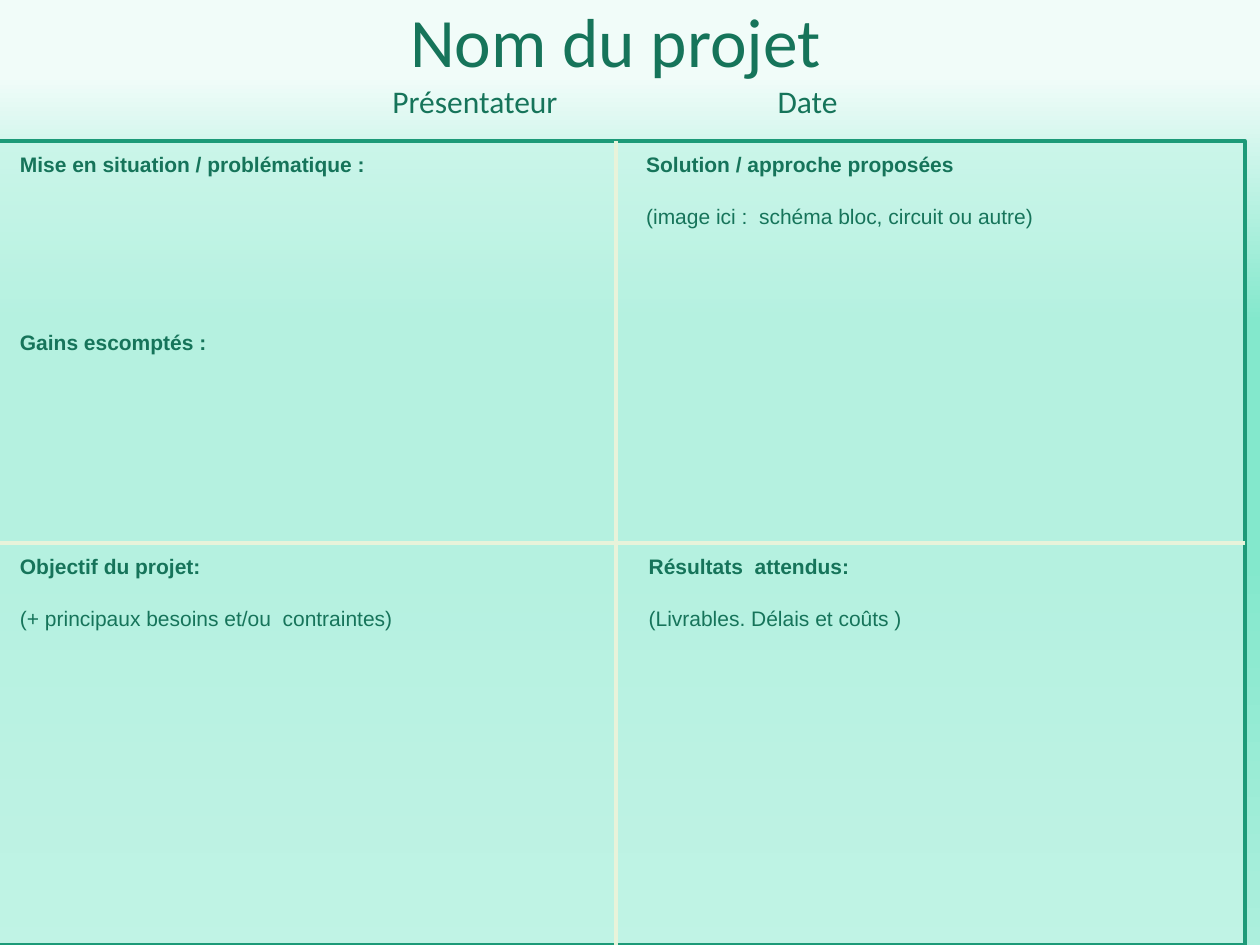
from lxml.etree import SubElement
from pptx import Presentation
from pptx.dml.color import RGBColor
from pptx.enum.shapes import MSO_CONNECTOR as Connector, MSO_SHAPE as Shape
from pptx.enum.text import MSO_ANCHOR as Anchor, PP_ALIGN as Align
from pptx.oxml.ns import qn
from pptx.util import Inches, Pt

DARK_GREEN = RGBColor(0x16, 0x74, 0x5A)
FRAME_GREEN = RGBColor(0x1D, 0x9A, 0x78)
PANEL_MINT = RGBColor(0xC8, 0xF5, 0xE8)
DIVIDER_CREAM = RGBColor(0xE8, 0xF3, 0xDA)
PALE = RGBColor(0xF1, 0xFC, 0xF9)
MINT = RGBColor(0x83, 0xE8, 0xCC)
LIGHT_MINT = RGBColor(0xAC, 0xEF, 0xDD)
BACKGROUND_STOPS = [(0, PALE), (8, PALE), (34, MINT), (59, MINT), (100, LIGHT_MINT)]

HEADING = {"size": Pt(12), "name": "Arial", "bold": True}
BODY = {**HEADING, "bold": False}
TITLE = {"size": Pt(39.6), "name": "Calibri"}
SUBTITLE = {"size": Pt(18), "name": "Calibri"}
ONE_LINE = Pt(15.3)
SIX_LINES = Pt(87.3)


def paint_background(slide):
    fill = slide.background.fill
    fill.gradient()
    fill.gradient_angle = 270
    stops = fill.gradient_stops[0]._gs.getparent()
    for stop in list(stops):
        stops.remove(stop)
    for position, color in BACKGROUND_STOPS:
        stop = SubElement(stops, qn("a:gs"), pos=str(position * 1000))
        SubElement(stop, qn("a:srgbClr"), val=str(color))


def add_text(slide, box, lines, inset=0.1, hanging=0.0, paragraph_format=None):
    frame = slide.shapes.add_textbox(*map(Inches, box)).text_frame
    frame_format = {"word_wrap": True, "vertical_anchor": Anchor.TOP,
                    "margin_top": Inches(inset), "margin_bottom": Inches(inset)}
    for key, value in frame_format.items():
        setattr(frame, key, value)
    for index, (text, font_format, space_before) in enumerate(lines):
        paragraph = frame.add_paragraph() if index else frame.paragraphs[0]
        for key, value in (paragraph_format or {}).items():
            setattr(paragraph, key, value)
        paragraph.space_before = space_before
        if hanging:
            properties = paragraph._p.get_or_add_pPr()
            properties.set("marL", str(Inches(hanging)))
            properties.set("indent", str(-Inches(hanging)))
        run = paragraph.add_run()
        run.text = text
        for key, value in font_format.items():
            setattr(run.font, key, value)
        run.font.color.rgb = DARK_GREEN


def add_header(slide, box):
    left, top, width, height = box
    centred = {"alignment": Align.CENTER, "line_spacing": 0.9}
    half = height / 2
    add_text(slide, (left, top, width, half), [("Nom du projet", TITLE, Pt(0))],
             inset=0.05, paragraph_format=centred)
    for text, centre in (("Présentateur", 3.77), ("Date", 6.41)):
        add_text(slide, (centre - 1, top + half, 2, half), [(text, SUBTITLE, Pt(0))],
                 inset=0.05, paragraph_format=centred)


def add_panel(slide, box):
    panel = slide.shapes.add_shape(Shape.RECTANGLE, *map(Inches, box))
    panel.shadow.inherit = False
    panel.fill.solid()
    panel.fill.fore_color.rgb = PANEL_MINT
    color = panel.fill._xPr.find(qn("a:solidFill"))[0]
    SubElement(color, qn("a:alpha"), val="73000")
    panel.line.color.rgb = FRAME_GREEN
    panel.line.width = Pt(2.25)


def add_divider(slide, start, end):
    divider = slide.shapes.add_connector(Connector.STRAIGHT, *map(Inches, start + end))
    divider.line.color.rgb = DIVIDER_CREAM
    divider.line.width = Pt(2.25)
    SubElement(divider._element.spPr, qn("a:effectLst"))


def add_quadrants(slide, box):
    left, top, width, height = box
    right, bottom = left + width, top + height
    middle_x, middle_y = left + width / 2, top + height / 2
    add_panel(slide, box)
    quadrants = [
        (0.06, 1.1, [("Mise en situation / problématique :", HEADING, Pt(0)),
                     ("Gains escomptés :", HEADING, SIX_LINES)]),
        (5.03, 1.1, [("Solution / approche proposées", HEADING, Pt(0)),
                     ("(image ici :  schéma bloc, circuit ou autre)", BODY, ONE_LINE)]),
        (0.06, 4.29, [("Objectif du projet:", HEADING, Pt(0)),
                      ("(+ principaux besoins et/ou  contraintes)", BODY, ONE_LINE)]),
        (5.05, 4.29, [("Résultats  attendus:", HEADING, Pt(0)),
                      ("(Livrables. Délais et coûts )", BODY, ONE_LINE)]),
    ]
    for text_left, text_top, lines in quadrants:
        add_text(slide, (text_left, text_top, 4.88, 3.19), lines, hanging=0.13)
    add_divider(slide, (middle_x, top), (middle_x, bottom))
    add_divider(slide, (left, middle_y), (right, middle_y))


def main():
    presentation = Presentation()
    presentation.slide_width = Inches(10)
    presentation.slide_height = Inches(7.5)
    slide = presentation.slides.add_slide(presentation.slide_layouts[6])
    paint_background(slide)
    add_header(slide, (2.41, 0.01, 4.95, 1.25))
    add_quadrants(slide, (-0.1, 1.12, 9.98, 6.38))
    presentation.save("out.pptx")


if __name__ == "__main__":
    main()
